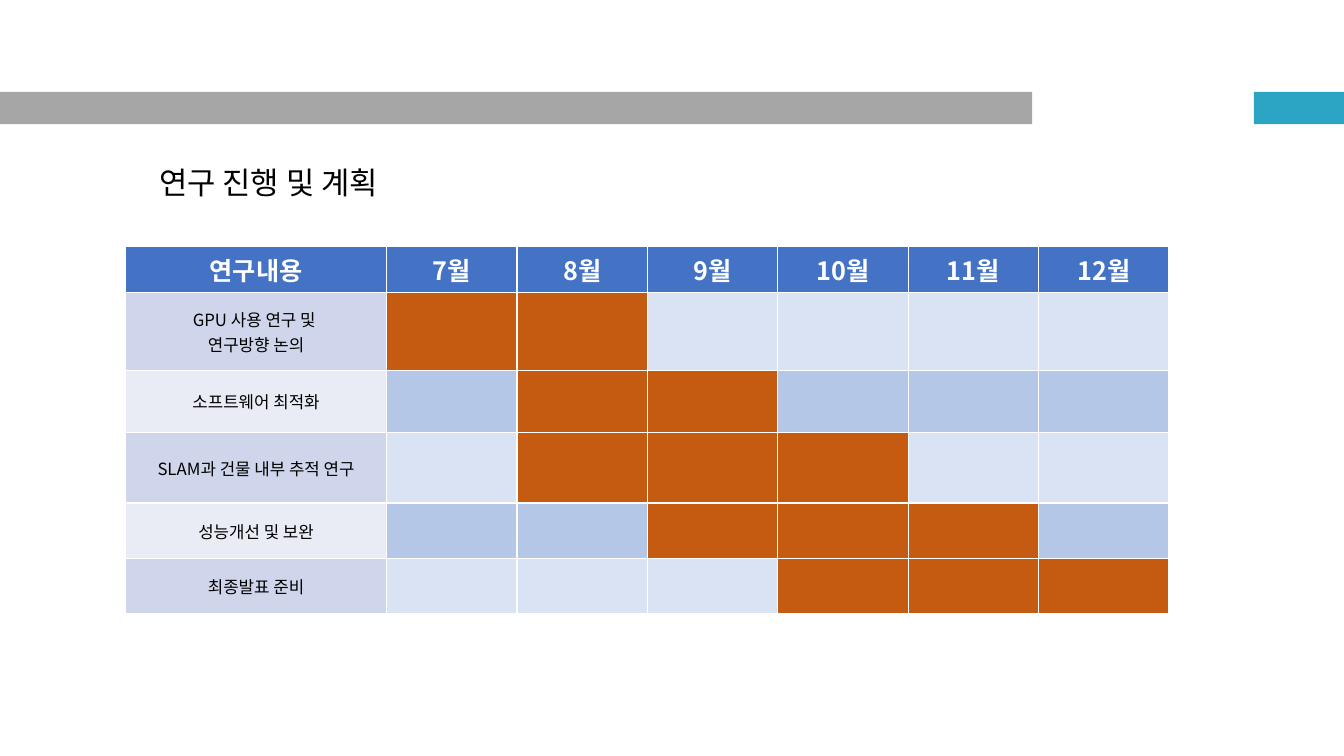
import pptx
import pptx.util
import pptx.dml.color
import pptx.enum.shapes
import pptx.enum.text
import pptx.oxml.ns
import lxml.etree

Pt = pptx.util.Pt
RGBColor = pptx.dml.color.RGBColor
CENTER = pptx.enum.text.PP_ALIGN.CENTER
MIDDLE = pptx.enum.text.MSO_ANCHOR.MIDDLE

# Content: each task has its lines, first and last month, and row height
TITLE = "연구 진행 및 계획"
TASK_HEADING = "연구내용"
MONTHS = list(range(7, 13))
TASKS = [
    (["GPU 사용 연구 및 ", "연구방향 논의"], 7, 8, 55.8),
    (["소프트웨어 최적화"], 8, 9, 44.2),
    (["SLAM과 건물 내부 추적 연구"], 8, 10, 50.4),
    (["성능개선 및 보완"], 9, 11, 39.6),
    (["최종발표 준비"], 10, 12, 39.6),
]

THEME = {
    "font": "Noto Sans CJK KR",
    "title": {"size": Pt(22), "bold": False, "color": "000000"},
    "heading": {"size": Pt(18), "bold": True, "color": "FFFFFF"},
    "task": {"size": Pt(12), "bold": False, "color": "000000"},
    "heading_fill": "4472C4",
    "task_fills": ("CFD5EA", "E9EBF5"),
    "idle_fills": ("DAE3F3", "B4C7E7"),
    "active_fill": "C55A11",
    "border": "FFFFFF",
    "gray_bar": "A6A6A6",
    "teal_bar": "2CA5C4",
}

# Layout in points
SLIDE_WIDTH, SLIDE_HEIGHT = 960, 540
BAR_TOP, BAR_HEIGHT = 65.7, 23
BARS = [(0, 737.3, "gray_bar"), (895.7, 64.3, "teal_bar")]
TITLE_BOX = (40.3, 113, 303.1, 33.8)
TABLE_LEFT, TABLE_TOP, TABLE_WIDTH = 89.8, 175.7, 745.2
TASK_WIDTH, HEADING_HEIGHT = 186.3, 33.3


def write_lines(text_frame, lines, style):
    text_frame.text = "\n".join(lines)
    for paragraph in text_frame.paragraphs:
        paragraph.alignment = CENTER
        for run in paragraph.runs:
            values = {"name": THEME["font"], "size": style["size"], "bold": style["bold"]}
            for name, value in values.items():
                setattr(run.font, name, value)
            run.font.color.rgb = RGBColor.from_string(style["color"])
            east_asian = lxml.etree.Element(pptx.oxml.ns.qn("a:ea"), typeface=THEME["font"])
            run.font._element.find(pptx.oxml.ns.qn("a:latin")).addnext(east_asian)


def format_cell(cell, fill):
    properties = cell._tc.get_or_add_tcPr()
    for side in ("L", "R", "T", "B"):
        line = lxml.etree.SubElement(properties, pptx.oxml.ns.qn("a:ln" + side), w=str(Pt(1)))
        solid = lxml.etree.SubElement(line, pptx.oxml.ns.qn("a:solidFill"))
        lxml.etree.SubElement(solid, pptx.oxml.ns.qn("a:srgbClr"), val=THEME["border"])
    cell.fill.solid()
    cell.fill.fore_color.rgb = RGBColor.from_string(fill)
    cell.vertical_anchor = MIDDLE


def add_bars(slide):
    for left, width, color in BARS:
        bar = slide.shapes.add_shape(
            pptx.enum.shapes.MSO_SHAPE.RECTANGLE,
            Pt(left), Pt(BAR_TOP), Pt(width), Pt(BAR_HEIGHT))
        bar.shadow.inherit = False
        bar.fill.solid()
        bar.fill.fore_color.rgb = RGBColor.from_string(THEME[color])
        bar.line.fill.background()


def add_title(slide):
    title = slide.shapes.title
    for name, value in zip(("left", "top", "width", "height"), TITLE_BOX):
        setattr(title, name, Pt(value))
    frame_format = {
        "word_wrap": True,
        "auto_size": pptx.enum.text.MSO_AUTO_SIZE.SHAPE_TO_FIT_TEXT,
        "vertical_anchor": pptx.enum.text.MSO_ANCHOR.TOP,
    }
    for name, value in frame_format.items():
        setattr(title.text_frame, name, value)
    write_lines(title.text_frame, [TITLE], THEME["title"])


def add_schedule(slide):
    heights = [HEADING_HEIGHT] + [task[3] for task in TASKS]
    month_width = (TABLE_WIDTH - TASK_WIDTH) / len(MONTHS)
    widths = [TASK_WIDTH] + [month_width] * len(MONTHS)
    table = slide.shapes.add_table(
        len(heights), len(widths), Pt(TABLE_LEFT), Pt(TABLE_TOP),
        Pt(TABLE_WIDTH), Pt(sum(heights))).table
    table.horz_banding = False
    for column, width in zip(table.columns, widths):
        column.width = Pt(width)
    for row, height in zip(table.rows, heights):
        row.height = Pt(height)

    # Heading row
    headings = [TASK_HEADING] + [f"{month}월" for month in MONTHS]
    for column, heading in enumerate(headings):
        cell = table.cell(0, column)
        format_cell(cell, THEME["heading_fill"])
        write_lines(cell.text_frame, [heading], THEME["heading"])

    # Task rows with their active months
    for index, (lines, first, last, _) in enumerate(TASKS):
        band = index % 2
        task_cell = table.cell(index + 1, 0)
        format_cell(task_cell, THEME["task_fills"][band])
        write_lines(task_cell.text_frame, lines, THEME["task"])
        for column, month in enumerate(MONTHS, start=1):
            active = first <= month <= last
            fill = THEME["active_fill"] if active else THEME["idle_fills"][band]
            format_cell(table.cell(index + 1, column), fill)


def main():
    presentation = pptx.Presentation()
    presentation.slide_width = Pt(SLIDE_WIDTH)
    presentation.slide_height = Pt(SLIDE_HEIGHT)
    slide = presentation.slides.add_slide(presentation.slide_layouts[5])
    add_bars(slide)
    add_schedule(slide)
    add_title(slide)
    presentation.save("out.pptx")


if __name__ == "__main__":
    main()
